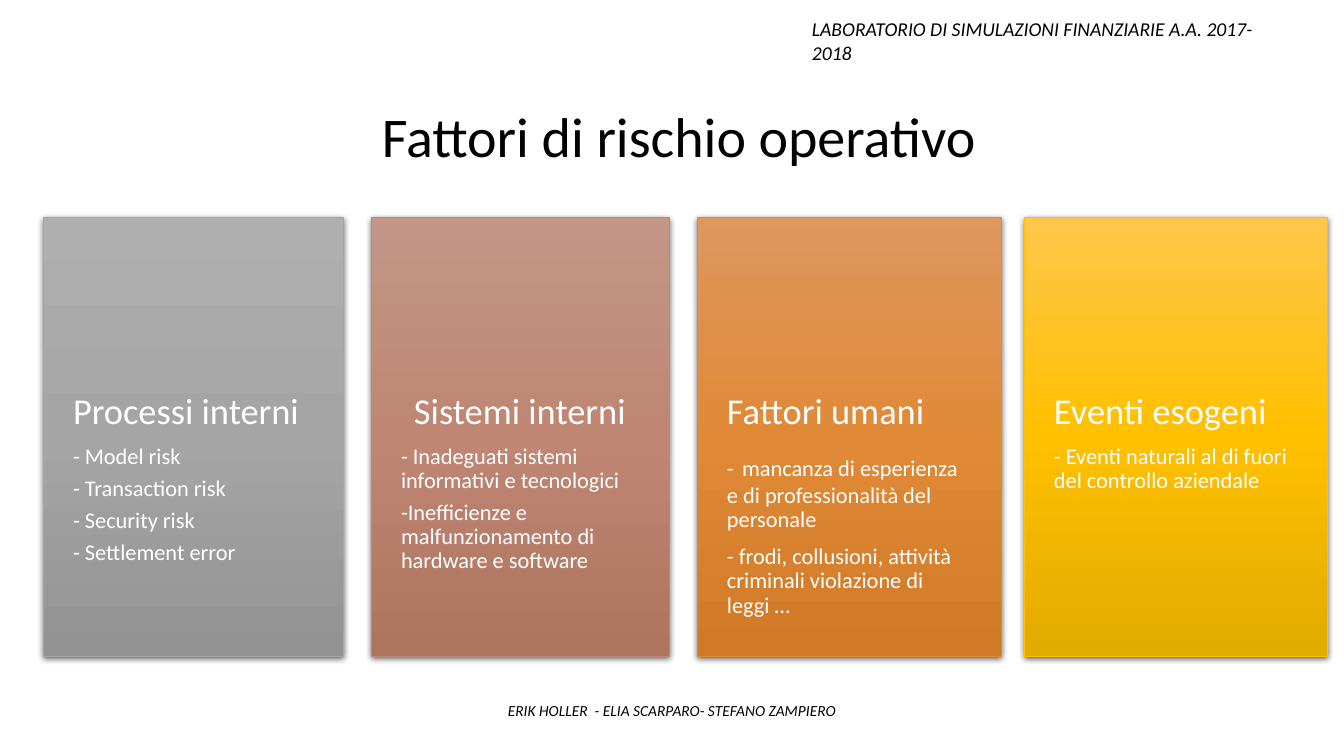
"""Build the slide on the four factors of operational risk."""
from pptx import Presentation
from pptx.dml.color import RGBColor
from pptx.enum.shapes import MSO_SHAPE
from pptx.enum.text import MSO_ANCHOR, MSO_AUTO_SIZE, PP_ALIGN
from pptx.oxml import parse_xml
from pptx.oxml.ns import nsdecls
from pptx.util import Pt

PX = 914400 / 100.8
BLACK = RGBColor(0x00, 0x00, 0x00)
WHITE = RGBColor(0xFF, 0xFF, 0xFF)
GREYS = RGBColor(0xAF, 0xAF, 0xAF), RGBColor(0xA5, 0xA5, 0xA5), RGBColor(0x93, 0x93, 0x93)
ROSES = RGBColor(0xC3, 0x96, 0x87), RGBColor(0xBE, 0x86, 0x73), RGBColor(0xAD, 0x74, 0x60)
ORANGES = RGBColor(0xDE, 0x97, 0x5E), RGBColor(0xE0, 0x8A, 0x38), RGBColor(0xD0, 0x7A, 0x27)
YELLOWS = RGBColor(0xFF, 0xC6, 0x4B), RGBColor(0xFF, 0xC0, 0x00), RGBColor(0xE3, 0xAB, 0x00)

CARD_TOP, CARD_HEIGHT = 217, 439
TEXT_TOP, TEXT_HEIGHT = 393, 263
HEADING, ITEM = 26, 16
CARDS = [
    (43, 300, GREYS, PP_ALIGN.LEFT, "Processi interni",
     [["- Model risk"], ["- Transaction risk"], ["- Security risk"], ["- Settlement error"]]),
    (371, 298, ROSES, PP_ALIGN.CENTER, "Sistemi interni",
     [["- Inadeguati sistemi informativi e tecnologici"],
      ["-Inefficienze e malfunzionamento di hardware e software"]]),
    (697, 304, ORANGES, PP_ALIGN.LEFT, "Fattori umani",
     [["-", " ", "mancanza di esperienza e di professionalità del personale"],
      ["- frodi, collusioni, attività criminali violazione di leggi …"]]),
    (1024, 303, YELLOWS, PP_ALIGN.LEFT, "Eventi esogeni",
     [["- Eventi naturali al di fuori del controllo aziendale"]]),
]


def place(shape, *box):
    shape.left, shape.top, shape.width, shape.height = [round(v * PX) for v in box]


def style(r, size, color, italic=False):
    r.font.name, r.font.size = "Calibri", Pt(size)
    r.font.bold, r.font.italic = False, italic
    r.font.color.rgb = color


prs = Presentation()
prs.slide_width, prs.slide_height = round(1344 * PX), round(756 * PX)
s = prs.slides.add_slide(prs.slide_layouts.get_by_name("Comparison"))

title = s.shapes.title
place(title, 93, 29, 1159, 146)
tf = title.text_frame
tf.text = " Fattori di rischio operativo"
tf.auto_size = MSO_AUTO_SIZE.NONE
tf.vertical_anchor = MSO_ANCHOR.BOTTOM
p = tf.paragraphs[0]
p.alignment, p.line_spacing = PP_ALIGN.CENTER, 0.9
style(p.runs[0], 40, BLACK)

for text, box, size, align in [
    ("ERIK HOLLER  - ELIA SCARPARO- STEFANO ZAMPIERO", (129, 696, 1086, 29), 11, PP_ALIGN.CENTER),
    ("LABORATORIO DI SIMULAZIONI FINANZIARIE A.A. 2017-2018", (802, 12, 500, 34), 14, PP_ALIGN.LEFT),
]:
    sp = s.shapes.add_textbox(0, 0, 0, 0)
    place(sp, *box)
    tf = sp.text_frame
    tf.word_wrap = True
    tf.text = text
    p = tf.paragraphs[0]
    p.alignment = align
    style(p.runs[0], size, BLACK, italic=True)

bodies = [ph for ph in s.placeholders if ph.placeholder_format.idx > 0]
for body, (left, width, colors, align, heading, items) in zip(bodies, CARDS):
    card = s.shapes.add_shape(MSO_SHAPE.RECTANGLE, 0, 0, 0, 0)
    place(card, left, CARD_TOP, width, CARD_HEIGHT)
    card.line.color.rgb = colors[1]
    card.line.width = Pt(0.5)
    stops = "".join(f'<a:gs pos="{i * 50000}"><a:srgbClr val="{c}"/></a:gs>'
                    for i, c in enumerate(colors))
    spPr = card.element.spPr
    spPr.insert(2, parse_xml(
        f'<a:gradFill {nsdecls("a")} rotWithShape="1"><a:gsLst>{stops}</a:gsLst>'
        '<a:lin ang="5400000" scaled="0"/></a:gradFill>'))
    spPr.append(parse_xml(
        f'<a:effectLst {nsdecls("a")}><a:outerShdw blurRad="57150" dist="19050" dir="5400000" '
        'algn="ctr" rotWithShape="0"><a:srgbClr val="000000"><a:alpha val="63000"/></a:srgbClr>'
        '</a:outerShdw></a:effectLst>'))

    s.shapes.element.append(body.element)
    place(body, left, TEXT_TOP, width, TEXT_HEIGHT)
    tf = body.text_frame
    tf.word_wrap, tf.auto_size = True, MSO_AUTO_SIZE.NONE
    tf.vertical_anchor = MSO_ANCHOR.TOP
    tf.margin_left = tf.margin_right = round(30 * PX)
    tf.margin_top, tf.margin_bottom = 0, round(36 * PX)
    for i, texts in enumerate([[heading], *items]):
        p = tf.paragraphs[0] if i == 0 else tf.add_paragraph()
        p.alignment = PP_ALIGN.LEFT if i else align
        p.line_spacing, p.space_before = 0.9, Pt(0)
        sizes = [HEADING if i == 0 or text == " " else ITEM for text in texts]
        p.space_after = Pt(0.35 * max(sizes))
        pPr = p._p.get_or_add_pPr()
        pPr.set("marL", "0")
        pPr.set("indent", "0")
        pPr.append(parse_xml(f'<a:buNone {nsdecls("a")}/>'))
        for text, size in zip(texts, sizes):
            r = p.add_run()
            r.text = text
            style(r, size, WHITE)

prs.save("out.pptx")
